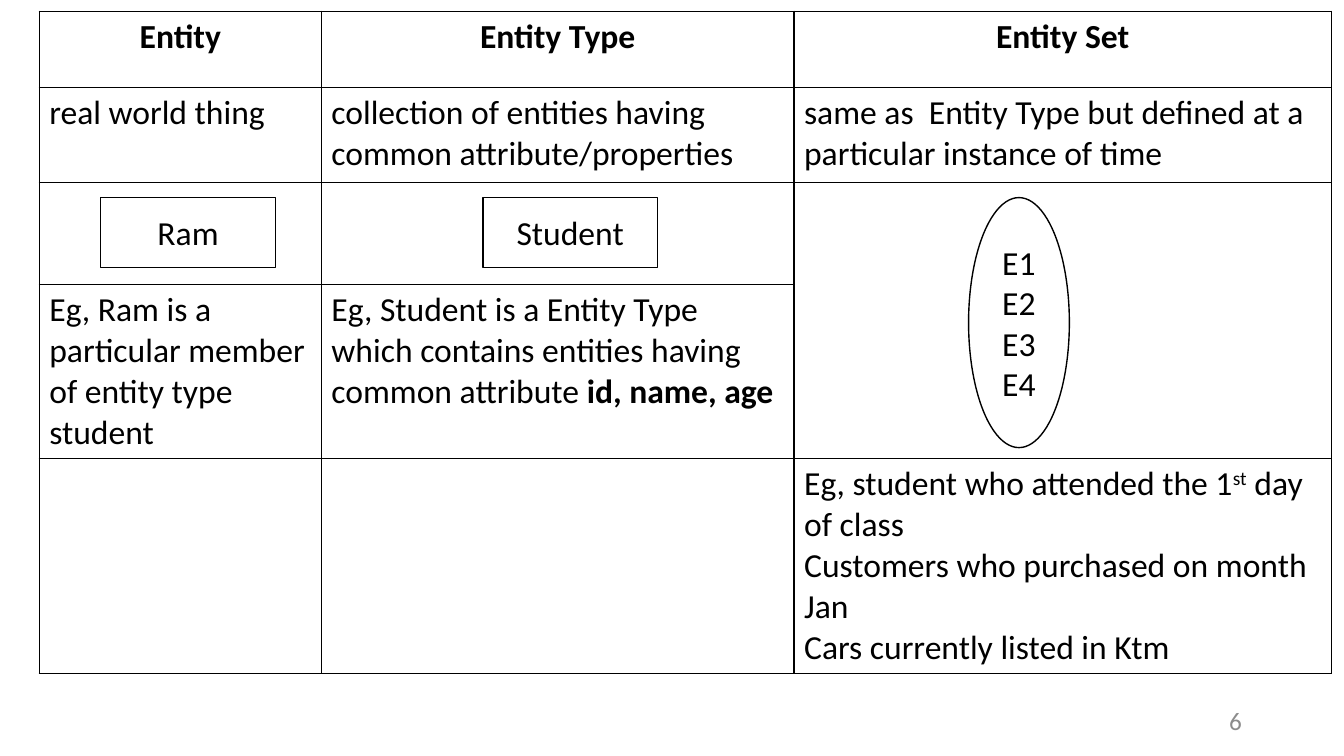
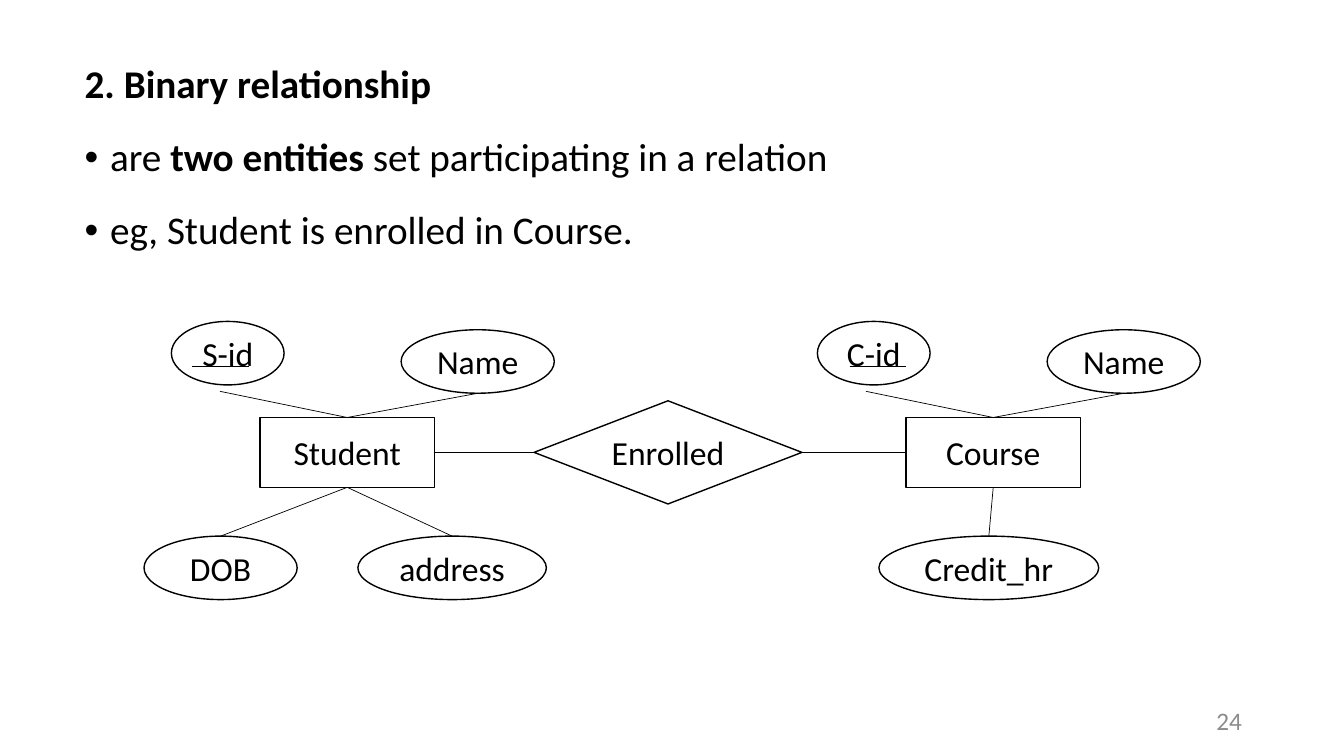
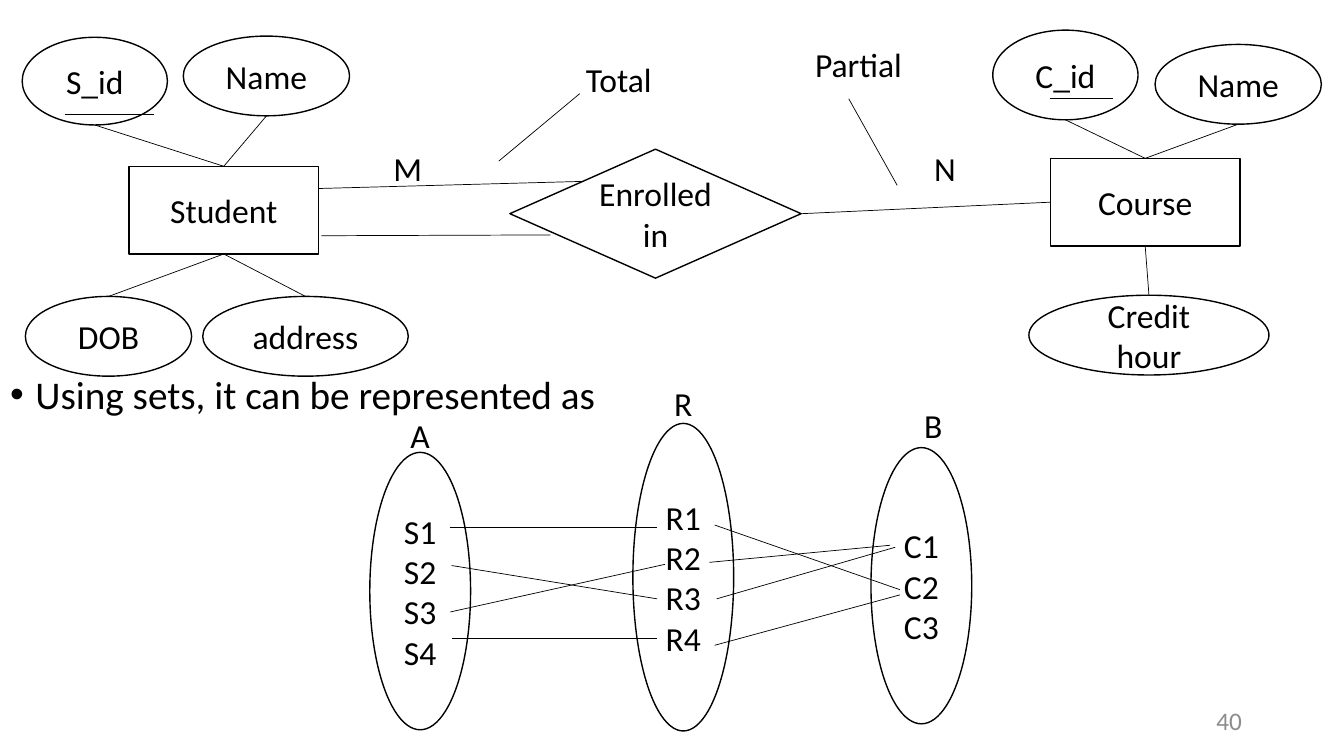
from dataclasses import dataclass

from lxml import etree
from pptx import Presentation
from pptx.dml.color import RGBColor
from pptx.enum import shapes, text
from pptx.oxml import ns
from pptx.util import Cm, Pt

RECT = shapes.MSO_SHAPE.RECTANGLE
OVAL = shapes.MSO_SHAPE.OVAL
DECISION = shapes.MSO_SHAPE.FLOWCHART_DECISION
LEFT, CENTER = text.PP_ALIGN.LEFT, text.PP_ALIGN.CENTER
Point = tuple[float, float]


@dataclass(frozen=True)
class Theme:
    font: str = "Calibri"
    ink: RGBColor = RGBColor(0, 0, 0)
    paper: RGBColor = RGBColor(255, 255, 255)
    muted: RGBColor = RGBColor(0x8C, 0x8C, 0x8C)
    body: float = 28
    label: float = 24
    number: float = 18
    outline: float = 1
    link: float = 0.5


@dataclass(frozen=True)
class Span:
    text: str
    bold: bool = False
    raised: bool = False


@dataclass(frozen=True)
class Node:
    """An outlined, labelled shape; lengths in centimetres."""
    label: str
    x: float
    y: float
    w: float
    h: float
    kind: shapes.MSO_SHAPE = OVAL

    @property
    def top(self) -> Point:
        return self.x + self.w / 2, self.y

    @property
    def bottom(self) -> Point:
        return self.x + self.w / 2, self.y + self.h

    @property
    def left(self) -> Point:
        return self.x, self.y + self.h / 2

    @property
    def right(self) -> Point:
        return self.x + self.w, self.y + self.h / 2


THEME = Theme()


def format_run(r, size: float, color: RGBColor = THEME.ink, bold: bool = False) -> None:
    r.font.name, r.font.size, r.font.bold = THEME.font, Pt(size), bold
    r.font.color.rgb = color


def write_text(tf, content: str, size: float = THEME.label, align=CENTER,
               color: RGBColor = THEME.ink) -> None:
    tf.text = content
    tf.word_wrap = True
    for p in tf.paragraphs:
        p.alignment = align
        for r in p.runs:
            format_run(r, size, color)


def write_spans(tf, paragraphs: list[list[Span]], size: float, align) -> None:
    for i, spans in enumerate(paragraphs):
        p = tf.paragraphs[0] if i == 0 else tf.add_paragraph()
        p.alignment = align
        for span in spans:
            r = p.add_run()
            r.text = span.text
            format_run(r, size, bold=span.bold)
            if span.raised:
                r.font._element.set("baseline", "30000")


def draw_node(s, node: Node) -> None:
    sp = s.shapes.add_shape(node.kind, Cm(node.x), Cm(node.y), Cm(node.w), Cm(node.h))
    sp.shadow.inherit = False
    sp.fill.solid()
    sp.fill.fore_color.rgb = THEME.paper
    sp.line.color.rgb = THEME.ink
    sp.line.width = Pt(THEME.outline)
    sp.text_frame.vertical_anchor = text.MSO_ANCHOR.MIDDLE
    write_text(sp.text_frame, node.label)


def draw_link(s, start: Point, end: Point) -> None:
    line = s.shapes.add_connector(shapes.MSO_CONNECTOR.STRAIGHT,
                                  *(Cm(v) for v in (*start, *end)))
    line.line.color.rgb = THEME.ink
    line.line.width = Pt(THEME.link)
    etree.SubElement(line._element.spPr, ns.qn("a:effectLst"))


def draw_diagram(s, nodes: list[Node], links: list[tuple[Point, Point]]) -> None:
    for node in nodes:
        draw_node(s, node)
    for start, end in links:
        draw_link(s, start, end)


def draw_label(s, content: str, x: float, y: float, w: float, h: float = 1.27) -> None:
    box = s.shapes.add_textbox(Cm(x), Cm(y), Cm(w), Cm(h))
    write_text(box.text_frame, content)


def add_slide(prs, number: int, layout: int):
    s = prs.slides.add_slide(prs.slide_layouts[layout])
    if s.shapes.title is not None:
        title = s.shapes.title._element
        title.getparent().remove(title)
    box = s.shapes.add_textbox(Cm(23.93), Cm(17.65), Cm(7.62), Cm(1.02))
    box.text_frame.vertical_anchor = text.MSO_ANCHOR.MIDDLE
    write_text(box.text_frame, str(number), THEME.number, text.PP_ALIGN.RIGHT, THEME.muted)
    return s


def fill_body(s, at: tuple[float, float, float, float], paragraphs: list[list[Span]],
              heading: bool = False) -> None:
    """Place the body list; a heading is a first paragraph without a bullet."""
    body = s.placeholders[1]
    body.left, body.top, body.width, body.height = (Cm(v) for v in at)
    tf = body.text_frame
    tf.auto_size = text.MSO_AUTO_SIZE.NONE
    write_spans(tf, paragraphs, THEME.body, text.PP_ALIGN.JUSTIFY)
    for i, p in enumerate(tf.paragraphs):
        p.line_spacing, p.space_before, p.space_after = 0.9, Pt(10), Pt(12)
        plain = heading and i == 0
        indent = 0 if plain else Cm(0.64)
        pPr = p._p.get_or_add_pPr()
        pPr.set("marL", str(indent))
        pPr.set("indent", str(-indent))
        if plain:
            etree.SubElement(pPr, ns.qn("a:buNone"))
        else:
            etree.SubElement(pPr, ns.qn("a:buChar")).set("char", "•")


def style_cell(cell) -> None:
    tcPr = cell._tc.get_or_add_tcPr()
    for side in ("lnL", "lnR", "lnT", "lnB"):
        ln = etree.SubElement(tcPr, ns.qn(f"a:{side}"), w=str(Pt(THEME.outline)))
        fill = etree.SubElement(ln, ns.qn("a:solidFill"))
        etree.SubElement(fill, ns.qn("a:srgbClr"), val=str(THEME.ink))
    cell.fill.solid()
    cell.fill.fore_color.rgb = THEME.paper


def entity_slide(prs) -> None:
    s = add_slide(prs, 6, 6)
    widths = (7.11, 11.91, 13.54)
    heights = (1.92, 2.4, 2.57, 4.39, 5.42)
    headers = ("Entity", "Entity Type", "Entity Set")
    contents = {
        (1, 0): [[Span("real world thing")]],
        (1, 1): [[Span("collection of entities having common attribute/properties")]],
        (1, 2): [[Span("same as  Entity Type but defined at a particular instance of time")]],
        (3, 0): [[Span("Eg, Ram is a particular member of entity type student")]],
        (3, 1): [[Span("Eg, Student is a Entity Type which contains entities having "
                       "common attribute "), Span("id, name, age", bold=True)]],
        (4, 2): [[Span("Eg, student who attended the 1"), Span("st", raised=True),
                  Span(" day of class")],
                 [Span("Customers who purchased on month Jan")],
                 [Span("Cars currently listed in Ktm")]],
    }
    table = s.shapes.add_table(len(heights), len(widths), Cm(0.99), Cm(0.28),
                               Cm(sum(widths)), Cm(sum(heights))).table
    table.first_row = table.horz_banding = False
    for column, width in zip(table.columns, widths):
        column.width = Cm(width)
    for row, height in zip(table.rows, heights):
        row.height = Cm(height)
    for cell in table.iter_cells():
        style_cell(cell)
    table.cell(2, 2).merge(table.cell(3, 2))
    for col, header in enumerate(headers):
        write_spans(table.cell(0, col).text_frame, [[Span(header, bold=True)]],
                    THEME.label, CENTER)
    for (row, col), paragraphs in contents.items():
        write_spans(table.cell(row, col).text_frame, paragraphs, THEME.label, LEFT)

    draw_diagram(s, [
        Node("Ram", 2.54, 4.98, 4.4, 1.76, RECT),
        Node("Student", 12.17, 4.98, 4.4, 1.76, RECT),
        Node("E1\nE2\nE3\nE4", 24.41, 4.98, 2.54, 6.3),
    ], [])


def binary_slide(prs) -> None:
    s = add_slide(prs, 24, 1)
    fill_body(s, (1.88, 1.5, 30.25, 6), [
        [Span("2. Binary relationship", bold=True)],
        [Span("are "), Span("two entities ", bold=True),
         Span("set participating in a relation")],
        [Span("eg, Student is enrolled in Course.")],
    ], heading=True)

    entities = []
    for label, key_label, dx, rule_x in (("Student", "S-id", 0, 4.85),
                                         ("Course", "C-id", 16.28, 21.41)):
        entity = Node(label, 6.55 + dx, 10.52, 4.4, 1.76, RECT)
        key = Node(key_label, 4.32 + dx, 8.1, 2.84, 1.6)
        name = Node("Name", 10.11 + dx, 8.31, 3.86, 1.6)
        draw_diagram(s, [entity, key, name], [
            ((rule_x, 9.22), (rule_x + 1.42, 9.22)),
            ((5.54 + dx, 9.86), entity.top),
            (entity.top, name.bottom),
        ])
        entities.append(entity)

    student, course = entities
    birth = Node("DOB", 3.63, 13.51, 3.86, 1.6)
    address = Node("address", 9.02, 13.51, 4.75, 1.6)
    credit = Node("Credit_hr", 22.15, 13.51, 5.54, 1.6)
    enrolled = Node("Enrolled", 13.46, 10.1, 6.75, 2.6, DECISION)
    draw_diagram(s, [birth, address, credit, enrolled], [
        (birth.top, student.bottom),
        (student.bottom, address.top),
        (credit.top, course.bottom),
        (student.right, enrolled.left),
        (enrolled.right, course.left),
    ])


def draw_enrolment(s) -> None:
    student = Node("Student", 3.25, 4.19, 4.78, 2.21, RECT)
    student_id = Node("S_id", 0.56, 0.94, 3.66, 2.21)
    student_name = Node("Name", 4.62, 0.91, 4.19, 2.01)
    birth = Node("DOB", 0.64, 7.47, 4.19, 2.01)
    address = Node("address", 5.11, 7.47, 5.18, 2.01)
    course = Node("Course", 26.47, 3.99, 4.78, 2.21, RECT)
    course_id = Node("C_id", 25.02, 0.76, 3.66, 2.26)
    course_name = Node("Name", 29.11, 1.12, 4.19, 2.01)
    credit = Node("Credit hour", 25.93, 7.44, 6.05, 2.01)
    enrolled = Node("Enrolled in", 12.85, 3.76, 7.34, 3.25, DECISION)
    draw_diagram(s, [student, student_id, student_name, birth, address,
                     course, course_id, course_name, credit, enrolled], [
        ((1.63, 2.87), (3.89, 2.87)),
        ((26.47, 2.49), (28.04, 2.49)),
        (student_id.bottom, student.top),
        (student.top, student_name.bottom),
        (birth.top, student.bottom),
        (student.bottom, address.top),
        (course_id.bottom, course.top),
        (course.top, course_name.bottom),
        (credit.top, course.bottom),
        (enrolled.right, course.left),
        ((8.03, 4.75), (14.71, 4.57)),
        ((8.1, 5.94), (13.87, 5.92)),
        ((14.61, 2.36), (12.57, 4.06)),
        ((22.61, 4.67), (21.39, 2.49)),
    ])
    draw_label(s, "M", 9.6, 3.61, 1.35)
    draw_label(s, "N", 23.14, 3.61, 1.35)
    draw_label(s, "Total", 13.87, 1.35, 3.45)
    draw_label(s, "Partial", 19.91, 0.99, 3.45)


def draw_sets(s) -> None:
    draw_diagram(s, [
        Node("S1\nS2\nS3\nS4", 9.32, 11.4, 2.54, 6.99),
        Node("R1\nR2\nR3\nR4", 15.95, 10.67, 2.54, 7.75),
        Node("C1\nC2\nC3", 21.95, 11.28, 2.54, 6.96),
    ], [
        ((11.33, 13.28), (16.56, 13.28)),
        ((11.38, 14.25), (16.56, 15.09)),
        ((11.35, 15.42), (16.76, 14.22)),
        ((11.4, 16.08), (16.56, 16.08)),
        ((18.01, 13.23), (22.68, 14.86)),
        ((17.88, 14.17), (22.43, 13.74)),
        ((18.06, 15.09), (22.56, 13.79)),
        ((18.01, 16.26), (22.68, 14.99)),
    ])
    for name, x, y in (("A", 9.27, 10.34), ("R", 15.9, 9.53), ("B", 22.2, 10.08)):
        draw_label(s, name, x, y, 2.64)


def sets_slide(prs) -> None:
    s = add_slide(prs, 40, 1)
    fill_body(s, (0, 9.33, 17, 1.3), [[Span("Using sets, it can be represented as")]])
    draw_sets(s)
    draw_enrolment(s)


def main() -> None:
    prs = Presentation()
    prs.slide_width, prs.slide_height = Cm(33.87), Cm(19.05)
    entity_slide(prs)
    binary_slide(prs)
    sets_slide(prs)
    prs.save("out.pptx")


if __name__ == "__main__":
    main()
